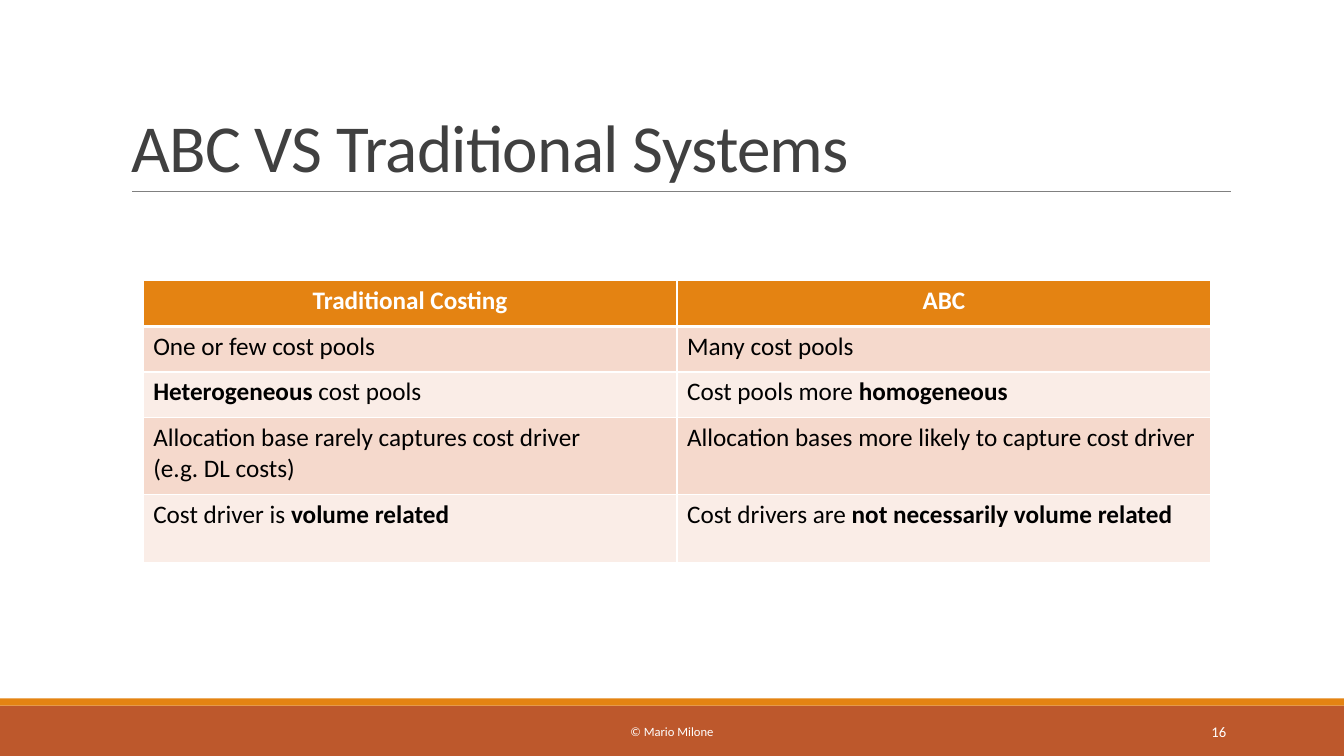
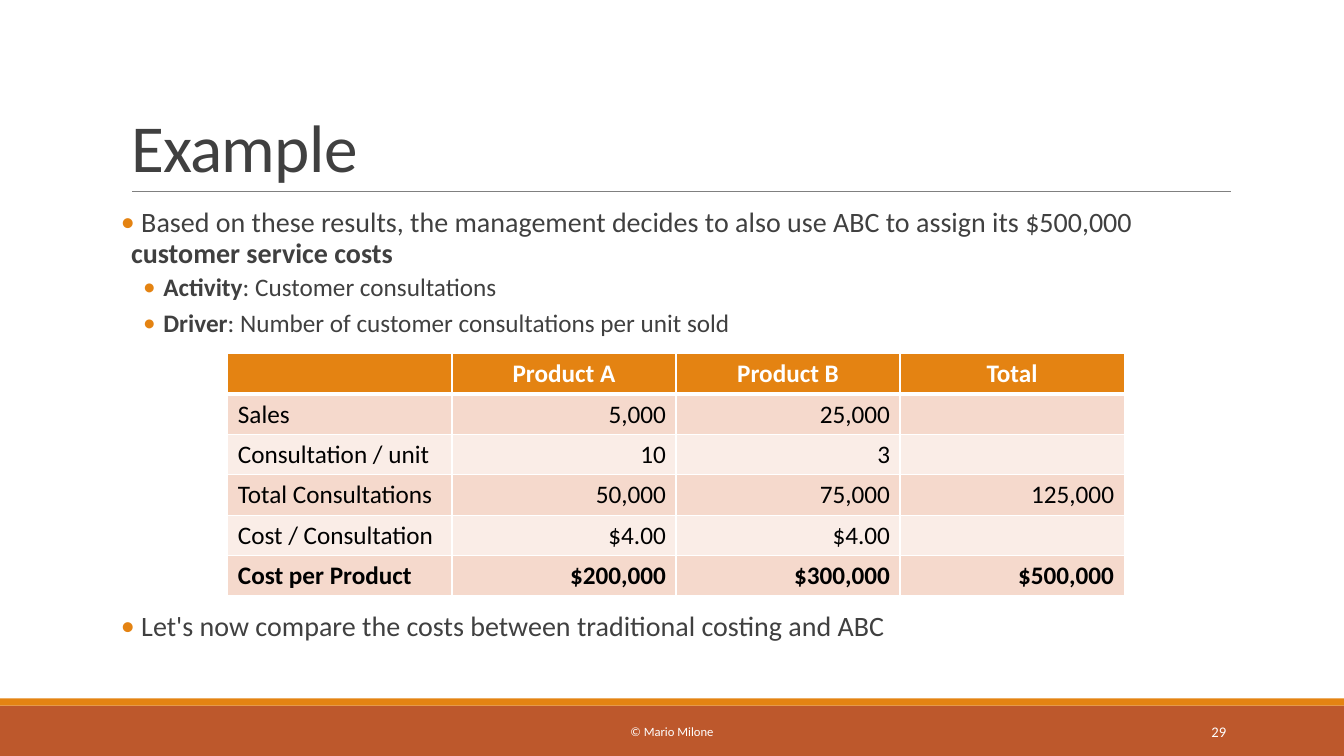
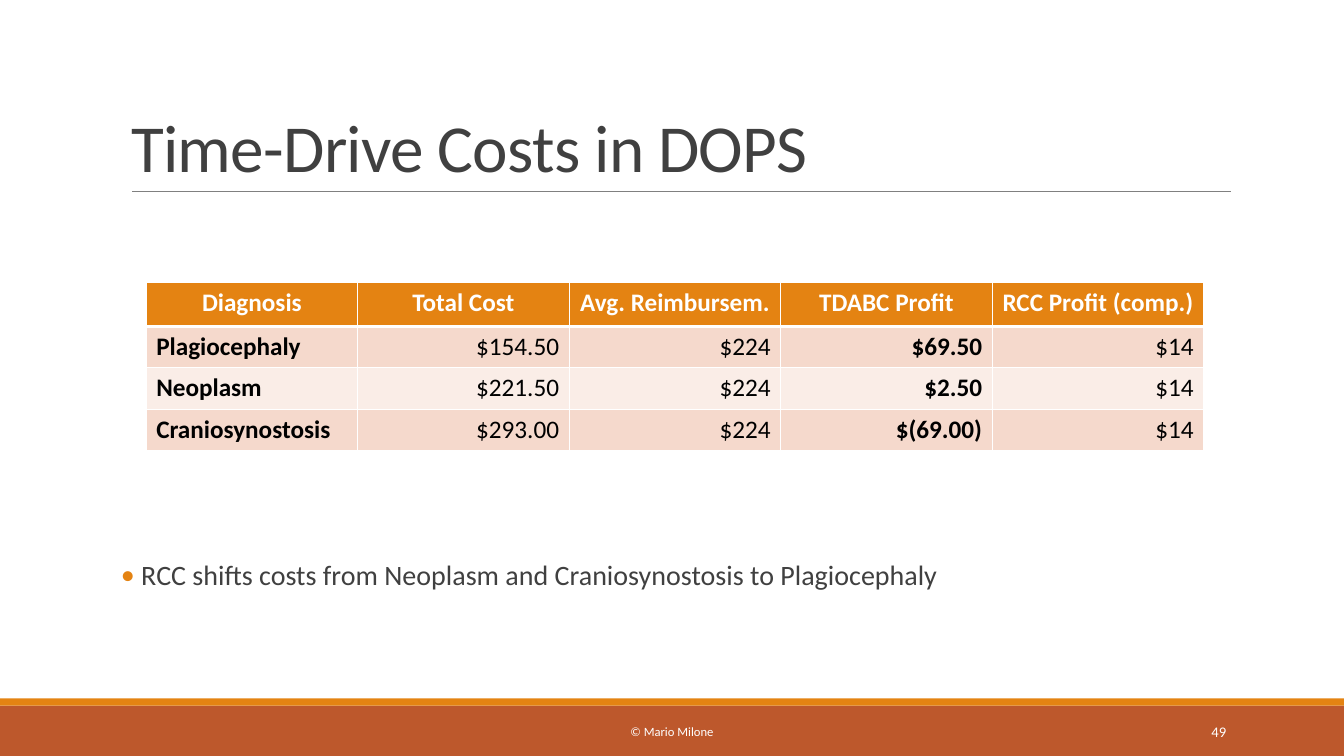
from dataclasses import dataclass
from lxml.etree import SubElement
from pptx import Presentation
from pptx.dml.color import RGBColor
from pptx.enum.shapes import MSO_CONNECTOR, MSO_SHAPE
from pptx.enum.text import MSO_ANCHOR, MSO_AUTO_SIZE, PP_ALIGN
from pptx.oxml.ns import qn
from pptx.util import Inches, Pt


@dataclass(frozen=True)
class Theme:
    font: str = "Calibri"
    rust: str = "BD582C"
    orange: str = "E48312"
    rule: str = "808080"
    ink: str = "404040"
    black: str = "000000"
    white: str = "FFFFFF"
    bands: tuple = ("F5D9CC", "FAEDE7")
    title: float = 48
    body: tuple = (20, 18)
    cell: float = 18
    foot: float = 9
    page: float = 10.5


def put(target, **values):
    for name, value in values.items():
        setattr(target, name, value)


def box(*sides):
    return [Inches(side) for side in sides]


class Deck:
    def __init__(self, theme):
        self.theme = theme
        self.show = Presentation()
        put(self.show, slide_width=Inches(13.33), slide_height=Inches(7.5))
        self.slide = None

    def words(self, par, text, size, color, bold=False):
        runs = []
        for spot, part in enumerate(text.split("*")):
            if part:
                run = par.add_run()
                run.text = part
                put(run.font, name=self.theme.font, size=Pt(size),
                    bold=bold or spot % 2 == 1)
                run.font.color.rgb = RGBColor.from_string(color)
                runs.append(run)
        return runs

    def band(self, top, height, color):
        shape = self.slide.shapes.add_shape(
            MSO_SHAPE.RECTANGLE, *box(0, top, 13.33, height))
        shape.shadow.inherit = False
        shape.fill.solid()
        shape.fill.fore_color.rgb = RGBColor.from_string(color)
        shape.line.fill.background()

    def rule(self):
        line = self.slide.shapes.add_connector(
            MSO_CONNECTOR.STRAIGHT, *box(1.31, 1.9, 12.21, 1.9))
        line.line.color.rgb = RGBColor.from_string(self.theme.rule)
        line.line.width = Pt(0.5)
        SubElement(line.element.spPr, qn("a:effectLst"))

    def label(self, text, left, width, size, align):
        frame = self.slide.shapes.add_textbox(
            *box(left, 7.06, width, 0.4)).text_frame
        put(frame, word_wrap=True, vertical_anchor=MSO_ANCHOR.MIDDLE)
        par = frame.paragraphs[0]
        par.alignment = align
        self.words(par, text, size, self.theme.white)

    def place(self, shape, left, top, width, height, **values):
        put(shape, **dict(zip(("left", "top", "width", "height"),
                              box(left, top, width, height))))
        put(shape.text_frame, word_wrap=True,
            auto_size=MSO_AUTO_SIZE.NONE, **values)
        return shape.text_frame

    def start(self, title, page, listed=False):
        theme = self.theme
        layout = self.show.slide_layouts[1 if listed else 5]
        self.slide = self.show.slides.add_slide(layout)
        self.band(7, 0.5, theme.rust)
        self.band(6.93, 0.07, theme.orange)
        self.rule()
        frame = self.place(self.slide.shapes.title, 1.2, 0.31, 11, 1.59,
                           vertical_anchor=MSO_ANCHOR.BOTTOM)
        par = frame.paragraphs[0]
        put(par, alignment=PP_ALIGN.LEFT, line_spacing=0.85)
        for run in self.words(par, title, theme.title, theme.ink):
            run._r.get_or_add_rPr().set("spc", "-50")
        self.label("© Mario Milone", 4.03, 5.27, theme.foot, PP_ALIGN.CENTER)
        self.label(str(page), 10.83, 1.43, theme.page, PP_ALIGN.RIGHT)

    def bullets(self, items, top=2.02, height=4.4):
        theme = self.theme
        frame = self.place(self.slide.placeholders[1], 1.2, top, 11, height,
                           margin_left=0, margin_right=0,
                           vertical_anchor=MSO_ANCHOR.TOP)
        for spot, (level, before, text) in enumerate(items):
            par = frame.add_paragraph() if spot else frame.paragraphs[0]
            put(par, level=level, alignment=PP_ALIGN.LEFT, line_spacing=0.9,
                space_before=Pt(before), space_after=Pt((2, 4)[level]))
            props = par._p.get_or_add_pPr()
            props.set("marL", str(Inches((0.1, 0.42)[level])))
            props.set("indent", str(-Inches((0.1, 0.2)[level])))
            tint = SubElement(props, qn("a:buClr"))
            SubElement(tint, qn("a:srgbClr"), val=theme.orange)
            SubElement(props, qn("a:buFont"), typeface=theme.font)
            SubElement(props, qn("a:buChar"), char="•")
            self.words(par, text, theme.body[level], theme.ink)

    def edges(self, cell, row):
        props = cell._tc.get_or_add_tcPr()
        for side in "LRTB":
            thick = (row, side) in ((0, "B"), (1, "T"))
            line = SubElement(props, qn(f"a:ln{side}"),
                              w=str(Pt(3 if thick else 1)))
            fill = SubElement(line, qn("a:solidFill"))
            SubElement(fill, qn("a:srgbClr"), val=self.theme.white)

    def table(self, left, top, width, heights, rows, align=PP_ALIGN.RIGHT):
        theme = self.theme
        count = len(rows[0])
        table = self.slide.shapes.add_table(
            len(rows), count, *box(left, top, width, sum(heights))).table
        for col in table.columns:
            col.width = Inches(width / count)
        for r, texts in enumerate(rows):
            table.rows[r].height = Inches(heights[r])
            head = r == 0
            for c, text in enumerate(texts):
                cell = table.cell(r, c)
                self.edges(cell, r)
                cell.fill.solid()
                cell.fill.fore_color.rgb = RGBColor.from_string(
                    theme.orange if head else theme.bands[(r - 1) % 2])
                for spot, part in enumerate(text.split("\n")):
                    frame = cell.text_frame
                    par = frame.add_paragraph() if spot else frame.paragraphs[0]
                    par.alignment = (PP_ALIGN.CENTER if head
                                     else align if c else PP_ALIGN.LEFT)
                    self.words(par, part, theme.cell,
                               theme.white if head else theme.black, head)


def main():
    deck = Deck(Theme())

    deck.start("ABC VS Traditional Systems", 16)
    deck.table(1.42, 2.78, 10.59, [0.46, 0.45, 0.45, 0.77, 0.67], [
        ("Traditional Costing", "ABC"),
        ("One or few cost pools", "Many cost pools"),
        ("*Heterogeneous *cost pools", "Cost pools more *homogeneous*"),
        ("Allocation base rarely captures cost driver\n(e.g. DL costs)",
         "Allocation bases more likely to capture cost driver"),
        ("Cost driver is *volume related*",
         "Cost drivers are *not necessarily volume related*"),
    ], PP_ALIGN.LEFT)

    deck.start("Example", 29, listed=True)
    deck.bullets([
        (0, 12, " Based on these results, the management decides to also use "
                "ABC to assign its $500,000 *customer service costs*"),
        (1, 2, "*Activity*: Customer consultations"),
        (1, 2, "*Driver*: Number of customer consultations per unit sold"),
        (0, 192, " Let's now compare the costs between traditional costing "
                 "and ABC"),
    ])
    deck.table(2.26, 3.51, 8.89, [0.4] * 6, [
        ("", "Product A", "Product B", "Total"),
        ("Sales", "5,000", "25,000", ""),
        ("Consultation / unit", "10", "3", ""),
        ("Total Consultations", "50,000", "75,000", "125,000"),
        ("Cost / Consultation", "$4.00", "$4.00", ""),
        ("*Cost per Product*", "*$200,000*", "*$300,000*", "*$500,000*"),
    ])

    deck.start("Time-Drive Costs in DOPS", 49, listed=True)
    deck.bullets([
        (0, 12, " RCC shifts costs from Neoplasm and Craniosynostosis to "
                "Plagiocephaly"),
    ], 5.52, 0.9)
    deck.table(1.45, 2.8, 10.49, [0.44] + [0.41] * 3, [
        ("Diagnosis", "Total Cost", "Avg. Reimbursem.", "TDABC Profit",
         "RCC Profit (comp.)"),
        ("*Plagiocephaly*", "$154.50", "$224", "*$69.50*", "$14"),
        ("*Neoplasm*", "$221.50", "$224", "*$2.50*", "$14"),
        ("*Craniosynostosis*", "$293.00", "$224", "*$(69.00)*", "$14"),
    ])

    deck.show.save("out.pptx")


if __name__ == "__main__":
    main()
